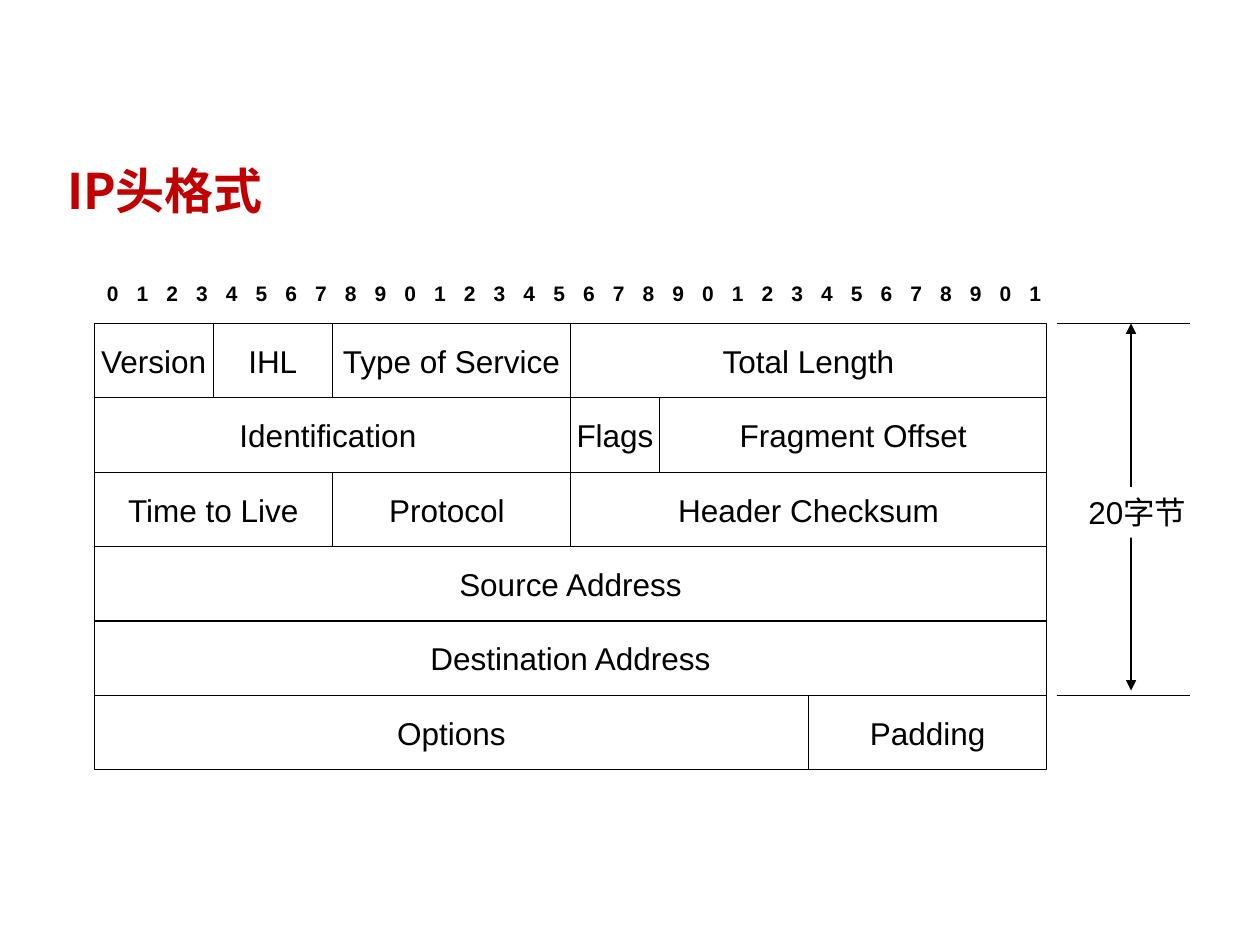
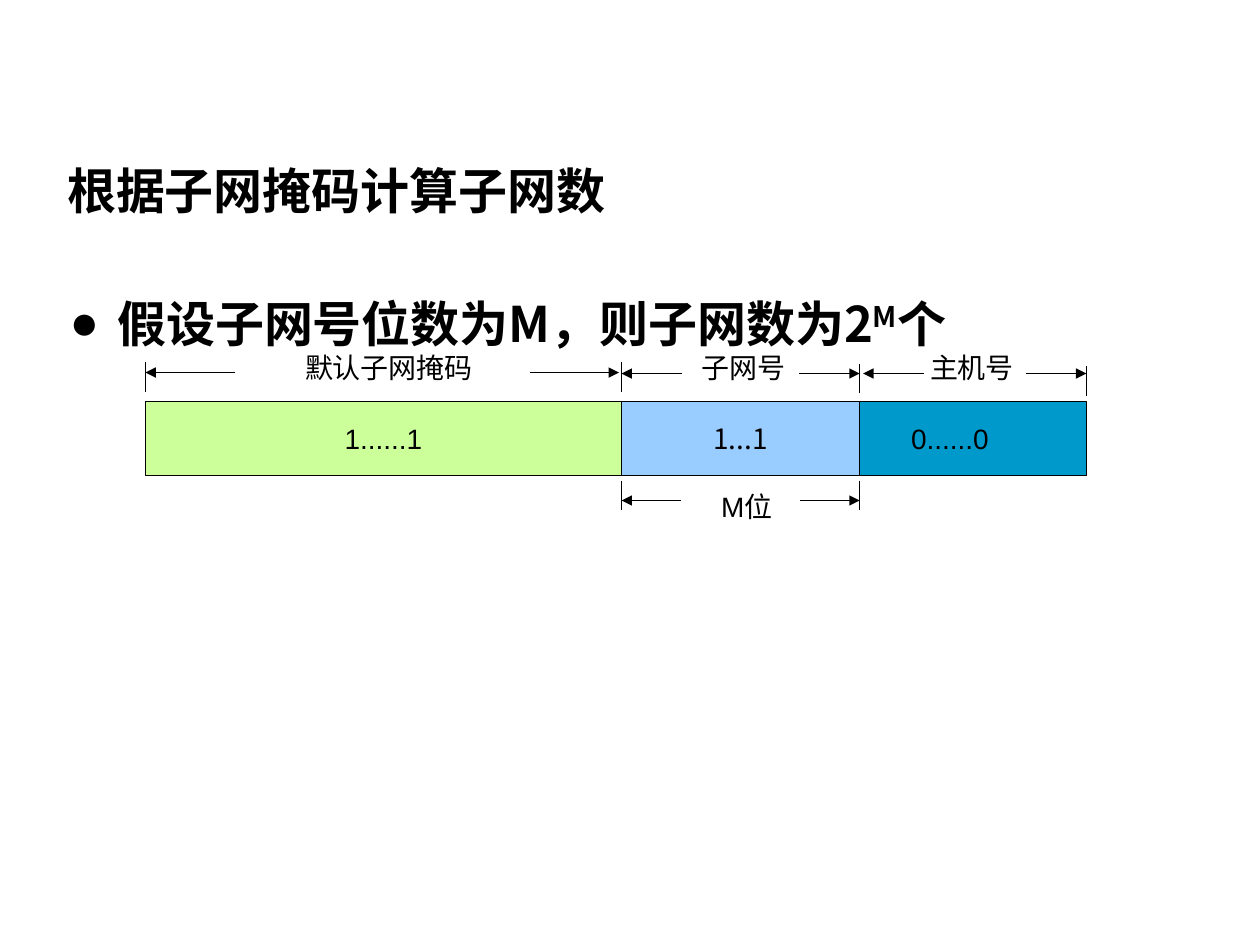
import lxml.etree
import pptx
import pptx.dml.color
import pptx.enum.shapes
import pptx.enum.text
import pptx.oxml.ns
import pptx.util

Cm, Pt = pptx.util.Cm, pptx.util.Pt
qn = pptx.oxml.ns.qn
ALIGN = pptx.enum.text.PP_ALIGN
MIDDLE = pptx.enum.text.MSO_ANCHOR.MIDDLE
RECTANGLE = pptx.enum.shapes.MSO_SHAPE.RECTANGLE
STRAIGHT = pptx.enum.shapes.MSO_CONNECTOR.STRAIGHT

COLOURS = {"ink": "000000", "paper": "FFFFFF", "title": "C00000",
           "mask": "CCFF99", "subnet": "99CCFF", "host": "0099CC"}
TITLE_FONT, CJK_FONT, LATIN_FONT = "Noto Sans CJK JP", "Noto Sans CJK SC", "Arial"
LINE_WIDTH = Pt(0.75)

# IP header: bits per field, one list per 32-bit word
BITS, BIT_WIDTH, WORD_HEIGHT = 32, 0.6, 1.5
HEADER_WORDS = [
    [("Version", 4), ("IHL", 4), ("Type of Service", 8), ("Total Length", 16)],
    [("Identification ", 16), ("Flags", 3), ("Fragment Offset", 13)],
    [("Time to Live", 8), ("Protocol ", 8), ("Header Checksum", 16)],
    [("Source Address", 32)],
    [("Destination Address", 32)],
    [("Options", 24), ("Padding", 8)],
]
FIXED_WORDS = 5


def rgb(name):
    return pptx.dml.color.RGBColor.from_string(COLOURS[name])


def style(paragraph, size, font=LATIN_FONT, east_asian=CJK_FONT, colour="ink", bold=False):
    """Set the paragraph's font, for Latin and Chinese letters alike."""
    paragraph.font.size = Pt(size)
    paragraph.font.bold = bold
    paragraph.font.color.rgb = rgb(colour)
    paragraph.font.name = font
    defaults = paragraph._p.pPr.find(qn("a:defRPr"))
    lxml.etree.SubElement(defaults, qn("a:ea"), typeface=east_asian)


def place(shape, left, top, width, height):
    shape.left, shape.top = Cm(left), Cm(top)
    shape.width, shape.height = Cm(width), Cm(height)


def add_title(slide, text, colour="ink"):
    title = slide.shapes.title
    place(title, 1.1, 2.92, 21.87, 1.8)
    title.text_frame.text = text
    title.text_frame.vertical_anchor = MIDDLE
    heading = title.text_frame.paragraphs[0]
    heading.alignment = ALIGN.LEFT
    style(heading, 28, TITLE_FONT, TITLE_FONT, colour, True)


def add_field(shapes, text, left, top, width, height, size, fill=None, font=LATIN_FONT):
    """Add an outlined box with a centred caption."""
    field = shapes.add_shape(RECTANGLE, Cm(left), Cm(top), Cm(width), Cm(height))
    field.shadow.inherit = False
    if fill:
        field.fill.solid()
        field.fill.fore_color.rgb = rgb(fill)
    else:
        field.fill.background()
    field.line.color.rgb = rgb("ink")
    field.line.width = LINE_WIDTH
    frame = field.text_frame
    frame.word_wrap = False
    frame.vertical_anchor = MIDDLE
    frame.text = text
    frame.paragraphs[0].alignment = ALIGN.CENTER
    style(frame.paragraphs[0], size, font)
    return field


def add_label(slide, text, left, top, width, height, size, wrap=True):
    label = slide.shapes.add_textbox(Cm(left), Cm(top), Cm(width), Cm(height))
    label.text_frame.word_wrap = wrap
    label.text_frame.text = text
    style(label.text_frame.paragraphs[0], size)
    return label


def add_line(slide, x1, y1, x2, y2, arrows=()):
    """Draw a line; arrows names the ends ("headEnd", "tailEnd") that get a tip."""
    line = slide.shapes.add_connector(STRAIGHT, Cm(x1), Cm(y1), Cm(x2), Cm(y2))
    line.line.color.rgb = rgb("ink")
    line.line.width = LINE_WIDTH
    properties = line._element.spPr
    for end in arrows:
        lxml.etree.SubElement(properties.find(qn("a:ln")), qn(f"a:{end}"), type="triangle")
    lxml.etree.SubElement(properties, qn("a:effectLst"))


def add_borders(cell, colour, width):
    """Line the four sides of a table cell; borders come before its fill."""
    properties = cell._tc.get_or_add_tcPr()
    for position, side in enumerate(("lnL", "lnR", "lnT", "lnB")):
        border = lxml.etree.Element(qn(f"a:{side}"), w=str(width))
        fill = lxml.etree.SubElement(border, qn("a:solidFill"))
        lxml.etree.SubElement(fill, qn("a:srgbClr"), val=COLOURS[colour])
        properties.insert(position, border)


def add_bit_ruler(slide, left, top, height):
    """Number the bits, each in a one-cell table of its own."""
    for bit in range(BITS):
        ruler = slide.shapes.add_table(1, 1, Cm(left + bit * BIT_WIDTH), Cm(top),
                                       Cm(BIT_WIDTH), Cm(height)).table
        ruler.first_row = ruler.horz_banding = False
        cell = ruler.cell(0, 0)
        cell.fill.background()
        add_borders(cell, "paper", Pt(1))
        cell.margin_left, cell.margin_right = Cm(0.14), 0
        cell.vertical_anchor = MIDDLE
        cell.text = str(bit % 10)
        digit = cell.text_frame.paragraphs[0]
        digit.alignment = ALIGN.CENTER
        style(digit, 12, bold=True)


def add_header_words(slide, left, top):
    fields = slide.shapes.add_group_shape().shapes
    for row, word in enumerate(HEADER_WORDS):
        first_bit = 0
        for text, bits in word:
            add_field(fields, text, left + first_bit * BIT_WIDTH, top + row * WORD_HEIGHT,
                      bits * BIT_WIDTH, WORD_HEIGHT, 18)
            first_bit += bits


def add_size_mark(slide, left, top, width, height):
    for y in (top + height, top):
        add_line(slide, left, y, left + width, y)
    middle = left + 1.5
    add_line(slide, middle, top, middle, top + height - 0.1, ("headEnd", "tailEnd"))
    size = add_label(slide, "20字节", left + 0.39, top + 3.3, 2.59, 1.02, 18)
    size.fill.solid()
    size.fill.fore_color.rgb = rgb("paper")


def add_address_bar(slide, left, top):
    """Draw the mask, subnet and host parts with their dimension marks."""
    subnet, host, end, height = 9.6, 14.4, 18.97, 1.5

    # Parts of the address; the host part runs on behind the subnet part
    add_field(slide.shapes, "1......1", left, top, subnet, height, 16, "mask")
    host_part = add_field(slide.shapes, "0......0", left + subnet, top,
                          end - subnet, height, 16, "host")
    host_part.text_frame.margin_left = Cm(4.12)
    add_field(slide.shapes, "1...1", left + subnet, top, host - subnet, height,
              16, "subnet", CJK_FONT)

    # Ticks at the borders of the parts
    for x, y in [(0, -0.79), (subnet, -0.79), (host, -0.76), (end, -0.71),
                 (subnet, 1.6), (host, 1.6)]:
        add_line(slide, left + x, top + y, left + x, top + y + 0.6)

    # Pairs of arrows pointing outwards
    for start, stop, y, length in [(0, subnet - 0.05, -0.58, 1.8), (subnet, host, -0.56, 1.22),
                                   (host + 0.07, end, -0.56, 1.22), (subnet, host, 2, 1.2)]:
        for tip, inward in ((start, length), (stop, -length)):
            add_line(slide, left + tip + inward, top + y, left + tip, top + y, ("tailEnd",))

    # Names of the parts
    for text, x, y, width, wrap in [("默认子网掩码", 2.97, -1.15, 3.89, False),
                                    ("子网号", 10.96, -1.15, 2.2, False),
                                    ("主机号", 15.57, -1.15, 2.36, True),
                                    ("M位", 11.36, 1.65, 1.55, True)]:
        add_label(slide, text, left + x, top + y, width, 0.94, 16, wrap)


def add_statement(slide):
    body = slide.placeholders[1]
    place(body, 1.15, 4.93, 22.86, 12.4)
    body.text_frame.margin_top = Cm(0.74)
    statement = body.text_frame.paragraphs[0]
    for text in ("假设子网号位数为M，则子网数为2", "M", "个"):
        statement.add_run().text = text
    statement.runs[1]._r.get_or_add_rPr().set("baseline", "30000")
    statement.line_spacing = 1.2
    statement.space_before = Pt(0)
    properties = statement._p.get_or_add_pPr()
    properties.set("marL", str(Cm(0.96)))
    properties.set("indent", str(Cm(-0.96)))
    lxml.etree.SubElement(properties, qn("a:buChar"), char="●")
    style(statement, 28, CJK_FONT, bold=True)


def build_header_slide(deck):
    slide = deck.slides.add_slide(deck.slide_layouts[5])
    add_title(slide, "IP头格式", "title")
    left, top = 1.9, 6.52
    add_bit_ruler(slide, left, 5.23, 1.4)
    add_header_words(slide, left, top)
    add_size_mark(slide, 21.3, top, 2.69, FIXED_WORDS * WORD_HEIGHT)


def build_subnet_slide(deck):
    slide = deck.slides.add_slide(deck.slide_layouts[1])
    add_title(slide, "根据子网掩码计算子网数")
    add_statement(slide)
    add_address_bar(slide, 2.93, 8.09)


def main():
    deck = pptx.Presentation()
    deck.slide_width, deck.slide_height = Cm(25.4), Cm(19.05)
    build_header_slide(deck)
    build_subnet_slide(deck)
    deck.save("out.pptx")


if __name__ == "__main__":
    main()
